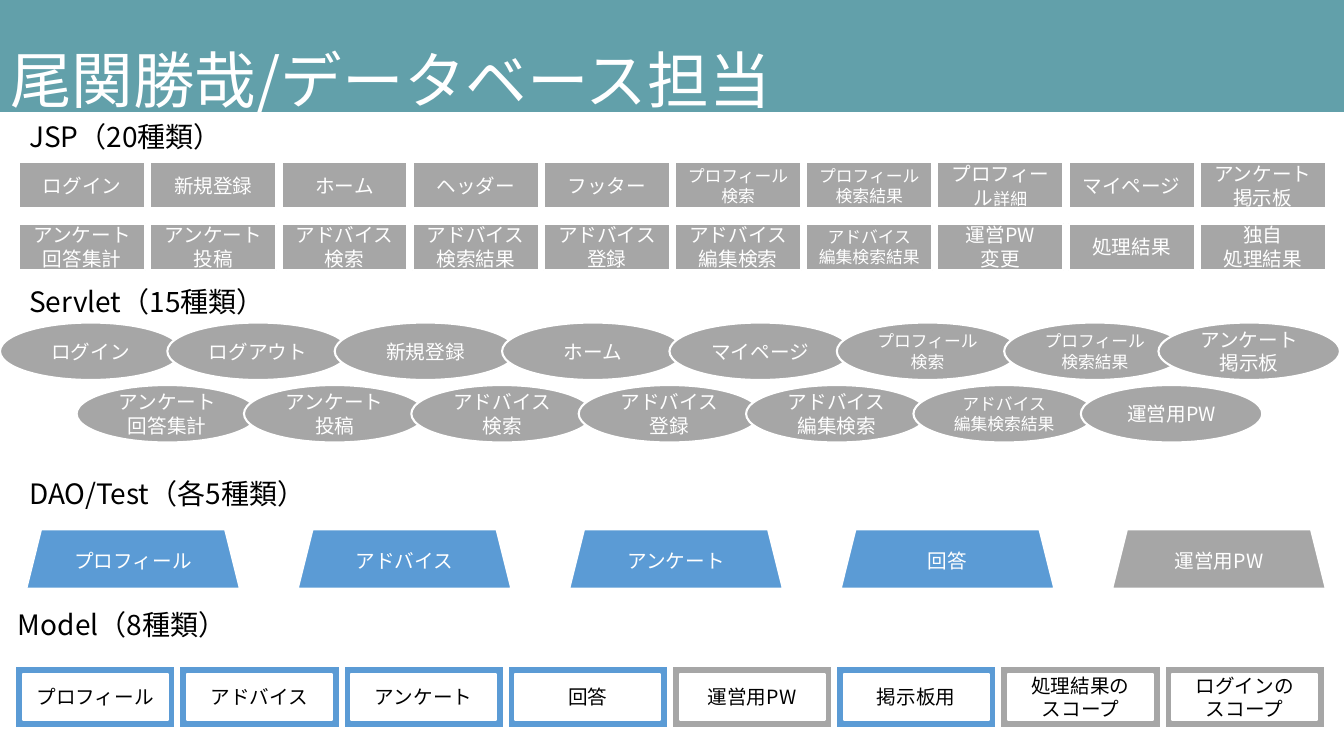
"""Build the slide that lists the components handled by the database owner."""
from dataclasses import dataclass

from lxml import etree
from pptx import Presentation
from pptx import util as u
from pptx.dml.color import RGBColor
from pptx.enum import shapes, text
from pptx.oxml.ns import qn

FONT = "Noto Sans CJK JP"
WHITE, BLACK, GRAY, BLUE, TEAL = "FFFFFF", "000000", "A6A6A6", "5B9BD5", "62A0AA"
S = shapes.MSO_SHAPE


@dataclass
class Cell:
    label: str
    size: int = 14
    fill: str = GRAY
    small_tail: str = ""


@dataclass
class Row:
    kind: S
    left: float
    top: float
    width: float
    height: float
    pitch: float
    cells: list[Cell]
    color: str = WHITE


@dataclass
class Section:
    heading: str
    left: float
    top: float
    width: float
    grouped: bool
    rows: list[Row]


SECTIONS = [
    Section("JSP（20種類）", 0.19, 1.14, 2.87, True, [
        Row(S.RECTANGLE, 0.19, 1.61, 1.25, 0.46, 11.71 / 9, [
            Cell("ログイン"), Cell("新規登録"), Cell("ホーム"), Cell("ヘッダー"),
            Cell("フッター"), Cell("プロフィール検索", 12),
            Cell("プロフィール検索結果", 12),
            Cell("プロフィール", small_tail="詳細"),
            Cell("マイページ"), Cell("アンケート掲示板")]),
        Row(S.RECTANGLE, 0.19, 2.22, 1.25, 0.46, 11.71 / 9, [
            Cell("アンケート回答集計"), Cell("アンケート投稿"),
            Cell("アドバイス検索"), Cell("アドバイス検索結果"),
            Cell("アドバイス登録"), Cell("アドバイス編集検索"),
            Cell("アドバイス\n編集検索結果", 12), Cell("運営PW\n変更"),
            Cell("処理結果"), Cell("独自\n処理結果")])]),
    Section("Servlet（15種類）", 0.19, 2.77, 3.59, True, [
        Row(S.OVAL, 0, 3.2, 1.8, 0.57, 1.66, [
            Cell("ログイン"), Cell("ログアウト"), Cell("新規登録"), Cell("ホーム"),
            Cell("マイページ"), Cell("プロフィール検索", 12),
            Cell("プロフィール検索結果", 12)]),
        Row(S.OVAL, 11.49, 3.2, 1.8, 0.57, 1.66, [Cell("アンケート掲示板")]),
        Row(S.OVAL, 0.76, 3.82, 1.8, 0.57, 1.66, [
            Cell("アンケート回答集計"), Cell("アンケート投稿"),
            Cell("アドバイス検索"), Cell("アドバイス登録"),
            Cell("アドバイス編集検索"), Cell("アドバイス\n編集検索結果", 12),
            Cell("運営用PW")])]),
    Section("DAO/Test（各5種類）", 0.19, 4.68, 4.26, False, [
        Row(S.TRAPEZOID, 0.26, 5.25, 2.12, 0.59, 10.77 / 4, [
            Cell("プロフィール", fill=BLUE), Cell("アドバイス", fill=BLUE),
            Cell("アンケート", fill=BLUE), Cell("回答", fill=BLUE),
            Cell("運営用PW")])]),
    Section("Model（8種類）", 0.08, 5.98, 3.93, False, [
        Row(S.FRAME, 0.15, 6.61, 1.59, 0.61, 11.4 / 7, [
            Cell("プロフィール", fill=BLUE), Cell("アドバイス", fill=BLUE),
            Cell("アンケート", fill=BLUE), Cell("回答", fill=BLUE),
            Cell("運営用PW"), Cell("掲示板用", fill=BLUE),
            Cell("処理結果の\nスコープ"), Cell("ログインの\nスコープ")], BLACK)]),
]


def rgb(value: str) -> RGBColor:
    return RGBColor.from_string(value)


def write(tf, content: str, size: int, color: str, align) -> None:
    tf.word_wrap = True
    tf.text = content
    for p in tf.paragraphs:
        p.alignment = align
        p.font.size = u.Pt(size)
        p.font.color.rgb = rgb(color)
        p.font.name = FONT
        defaults = p._p.get_or_add_pPr().find(qn("a:defRPr"))
        etree.SubElement(defaults, qn("a:ea"), typeface=FONT)


def draw_title(slide) -> None:
    sp = slide.shapes.title
    sp.left, sp.top = u.Inches(0), u.Inches(0)
    sp.width, sp.height = u.Inches(13.33), u.Inches(1.11)
    sp.fill.solid()
    sp.fill.fore_color.rgb = rgb(TEAL)
    tf = sp.text_frame
    tf.auto_size = text.MSO_AUTO_SIZE.NONE
    tf.vertical_anchor = text.MSO_ANCHOR.TOP
    write(tf, "尾関勝哉/データベース担当", 44, WHITE, text.PP_ALIGN.LEFT)
    tf.paragraphs[0].line_spacing = 1.5


def draw_row(container, row: Row) -> None:
    for i, cell in enumerate(row.cells):
        sp = container.add_shape(
            row.kind, u.Inches(row.left + i * row.pitch), u.Inches(row.top),
            u.Inches(row.width), u.Inches(row.height))
        sp.shadow.inherit = False
        sp.fill.solid()
        sp.fill.fore_color.rgb = rgb(cell.fill)
        sp.line.color.rgb = rgb(WHITE)
        sp.line.width = u.Pt(1.5)
        tf = sp.text_frame
        tf.vertical_anchor = text.MSO_ANCHOR.MIDDLE
        write(tf, cell.label, cell.size, row.color, text.PP_ALIGN.CENTER)
        if cell.small_tail:
            r = tf.paragraphs[-1].add_run()
            r.text = cell.small_tail
            r.font.size = u.Pt(12)


def draw_section(slide, section: Section) -> None:
    box = slide.shapes.add_textbox(
        u.Inches(section.left), u.Inches(section.top),
        u.Inches(section.width), u.Inches(0.44))
    write(box.text_frame, section.heading, 20, BLACK, text.PP_ALIGN.LEFT)
    box.text_frame.auto_size = text.MSO_AUTO_SIZE.SHAPE_TO_FIT_TEXT
    container = slide.shapes
    if section.grouped:
        container = slide.shapes.add_group_shape().shapes
    for row in section.rows:
        draw_row(container, row)


def main() -> None:
    prs = Presentation()
    prs.slide_width, prs.slide_height = u.Inches(13.33), u.Inches(7.5)
    slide = prs.slides.add_slide(prs.slide_layouts[5])
    draw_title(slide)
    for section in SECTIONS:
        draw_section(slide, section)
    prs.save("out.pptx")


if __name__ == "__main__":
    main()
